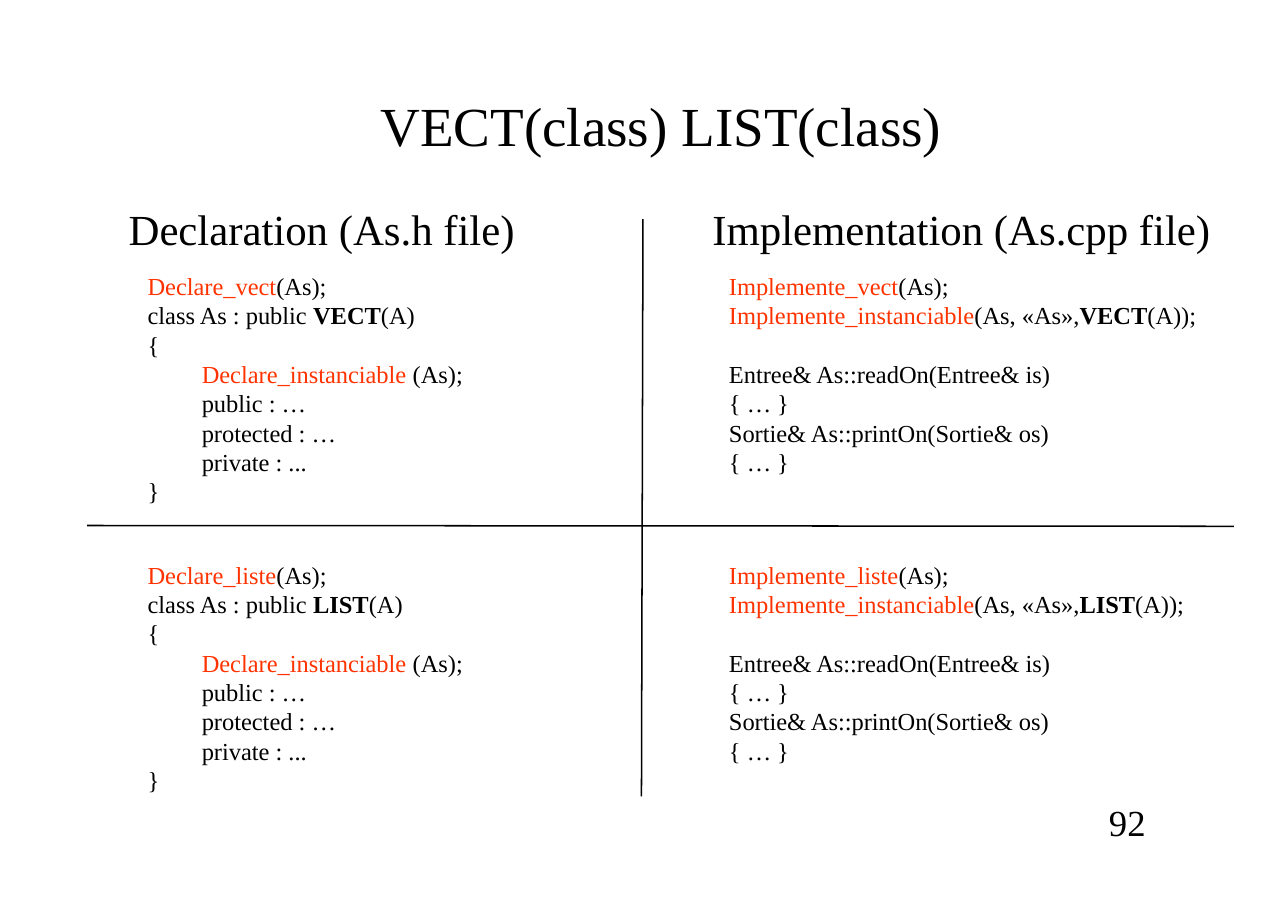
import pptx
import pptx.util
import pptx.dml.color
import pptx.enum.shapes
import pptx.enum.text
import lxml.etree
from dataclasses import dataclass

Pt = pptx.util.Pt
Color = pptx.dml.color.RGBColor
Align = pptx.enum.text.PP_ALIGN
Anchor = pptx.enum.text.MSO_ANCHOR


@dataclass(frozen=True)
class Theme:
    """Colours, type sizes and text gaps of the slide."""
    font: str = "Times New Roman"
    ink: Color = Color(0, 0, 0)
    macro: Color = Color(0xFF, 0x33, 0x00)
    title: float = 36
    head: float = 28
    page: float = 24
    code: float = 16
    line: float = 1
    indent: float = 35.4
    gap: float = 19.2


THEME = Theme()


def style(run, size, kind=""):
    """Format a run as plain, bold or macro text."""
    font = run.font
    font.name = THEME.font
    font.size = Pt(size)
    font.bold = kind == "bold"
    font.color.rgb = THEME.macro if kind == "macro" else THEME.ink


def add_box(slide, left, top, width, height, wrap=False):
    """Add an empty text box and return its text frame."""
    box = slide.shapes.add_textbox(Pt(left), Pt(top), Pt(width), Pt(height))
    frame = box.text_frame
    frame.word_wrap = wrap
    return frame


def add_label(slide, text, size, place, align=Align.LEFT, anchor=Anchor.TOP):
    """Add one line of text in one size."""
    frame = add_box(slide, *place, wrap=True)
    frame.text = text
    frame.vertical_anchor = anchor
    para = frame.paragraphs[0]
    para.alignment = align
    style(para.runs[0], size)


def add_code(slide, lines, place):
    """Add code lines, each given as (layout, [(text, kind), ...])."""
    frame = add_box(slide, *place)
    for row, (layout, parts) in enumerate(lines):
        para = frame.add_paragraph() if row else frame.paragraphs[0]
        if layout == "indent":
            props = para._p.get_or_add_pPr()
            props.set("marL", str(Pt(THEME.indent)))
            props.set("indent", "0")
        if layout == "gap":
            para.space_before = Pt(THEME.gap)
        for text, kind in parts:
            run = para.add_run()
            run.text = text
            style(run, THEME.code, kind)


def add_rule(slide, start, end):
    """Add a thin dividing line."""
    kind = pptx.enum.shapes.MSO_CONNECTOR.STRAIGHT
    rule = slide.shapes.add_connector(kind, *map(Pt, start + end))
    rule.line.color.rgb = THEME.ink
    rule.line.width = Pt(THEME.line)
    space = "http://schemas.openxmlformats.org/drawingml/2006/main"
    lxml.etree.SubElement(rule._element.spPr, f"{{{space}}}effectLst")


def plain(text, layout=""):
    """Return a code line without emphasis."""
    return layout, [(text, "")]


def header(macro, base):
    """Return the lines that declare class As."""
    return [
        ("", [(f"Declare_{macro}", "macro"), ("(As);", "")]),
        ("", [("class As : public ", ""), (base, "bold"), ("(A)", "")]),
        plain("{"),
        ("indent", [("Declare_instanciable", "macro"), (" (As);", "")]),
        plain("public : …", "indent"),
        plain("protected : …", "indent"),
        plain("private : ...", "indent"),
        plain("}"),
    ]


def source(macro, base):
    """Return the lines that implement class As."""
    return [
        ("", [(f"Implemente_{macro}", "macro"), ("(As);", "")]),
        ("", [("Implemente_instanciable", "macro"), ("(As, «As»,", ""),
              (base, "bold"), ("(A));", "")]),
        plain("Entree& As::readOn(Entree& is)", "gap"),
        plain("{ … }"),
        plain("Sortie& As::printOn(Sortie& os)"),
        plain("{ … }"),
    ]


def main():
    """Build the slide and save it."""
    deck = pptx.Presentation()
    deck.slide_width, deck.slide_height = Pt(841.68), Pt(595.44)
    slide = deck.slides.add_slide(deck.slide_layouts[6])

    add_label(slide, "VECT(class) LIST(class)", THEME.title,
              (108, 36.4, 648, 90), Align.CENTER, Anchor.MIDDLE)
    heads = [("Declaration (As.h file)", 77, 272),
             ("Implementation (As.cpp file)", 458.5, 345)]
    for text, left, width in heads:
        add_label(slide, text, THEME.head, (left, 129, width, 41))

    bases = [("vect", "VECT", 319.7), ("liste", "LIST", 311.8)]
    for row, (macro, base, width) in enumerate(bases):
        top = 173.5 + row * 188.8
        add_code(slide, header(macro, base), (89.4, top, 220.3, 161.3))
        add_code(slide, source(macro, base), (469.3, top, width, 141.8))

    add_rule(slide, (420.2, 143.3), (419.2, 520.6))
    add_rule(slide, (56.9, 343.5), (806.4, 344))
    add_label(slide, "92", THEME.page, (696, 519.1, 59.8, 36),
              Align.RIGHT, Anchor.MIDDLE)
    deck.save("out.pptx")


main()
